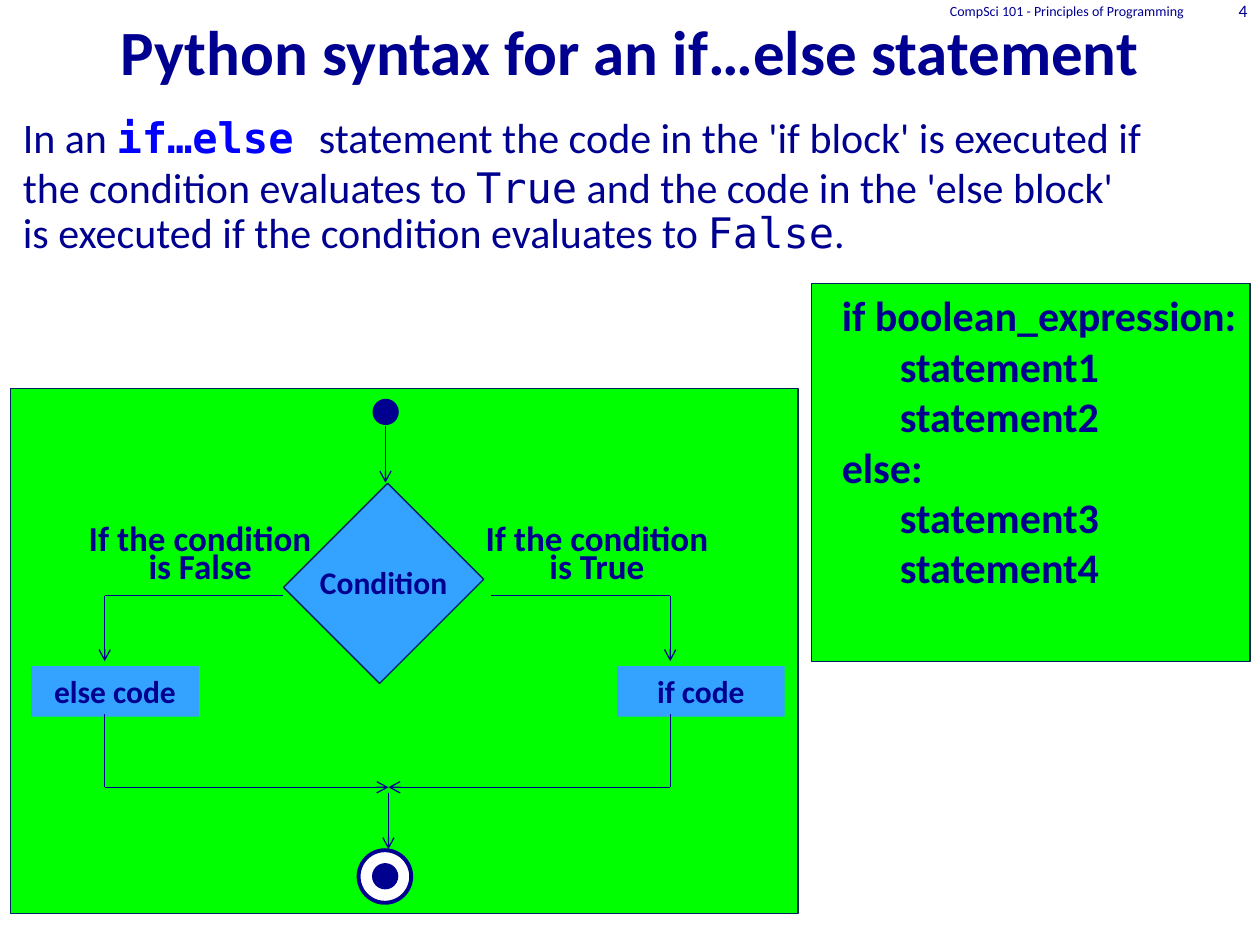
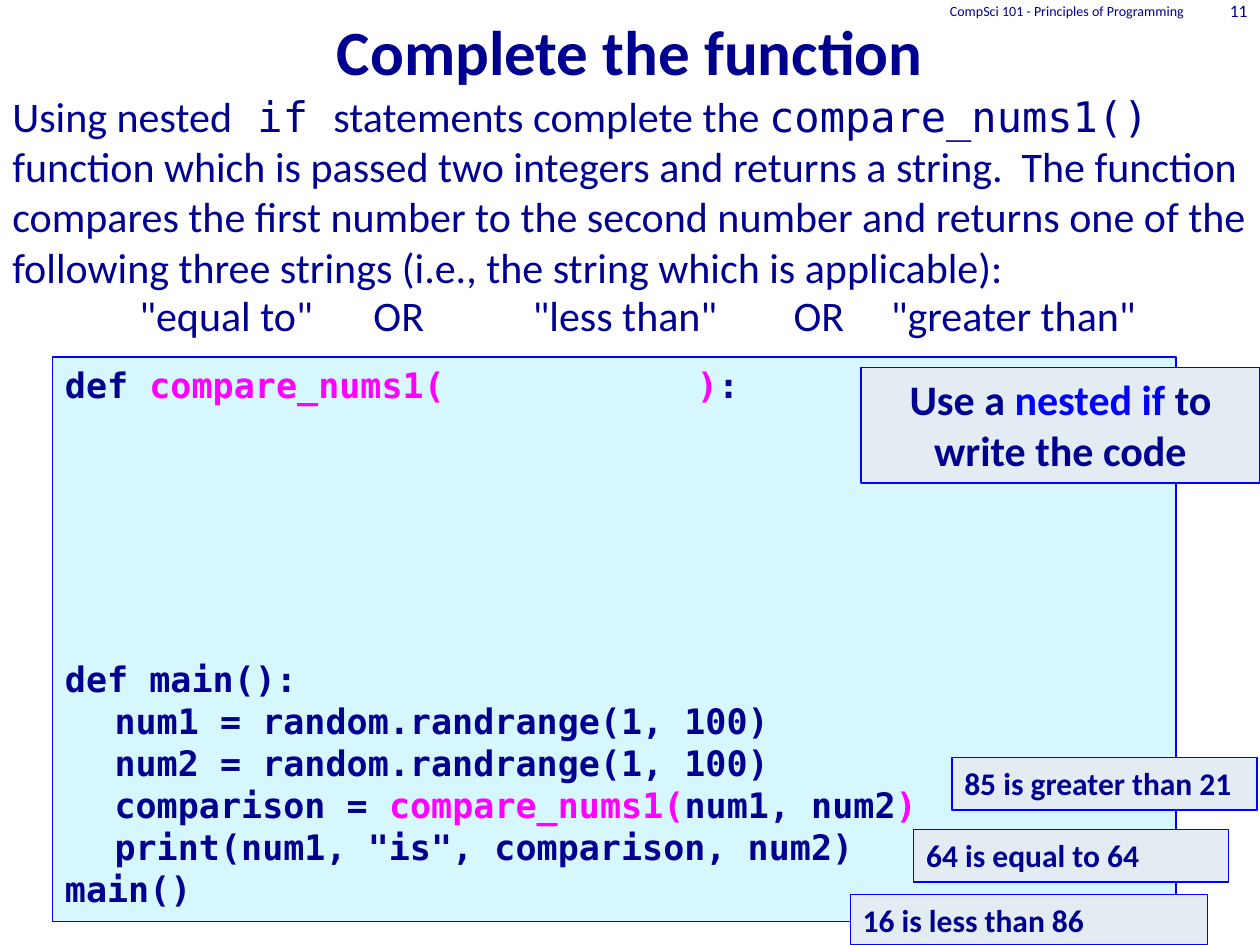
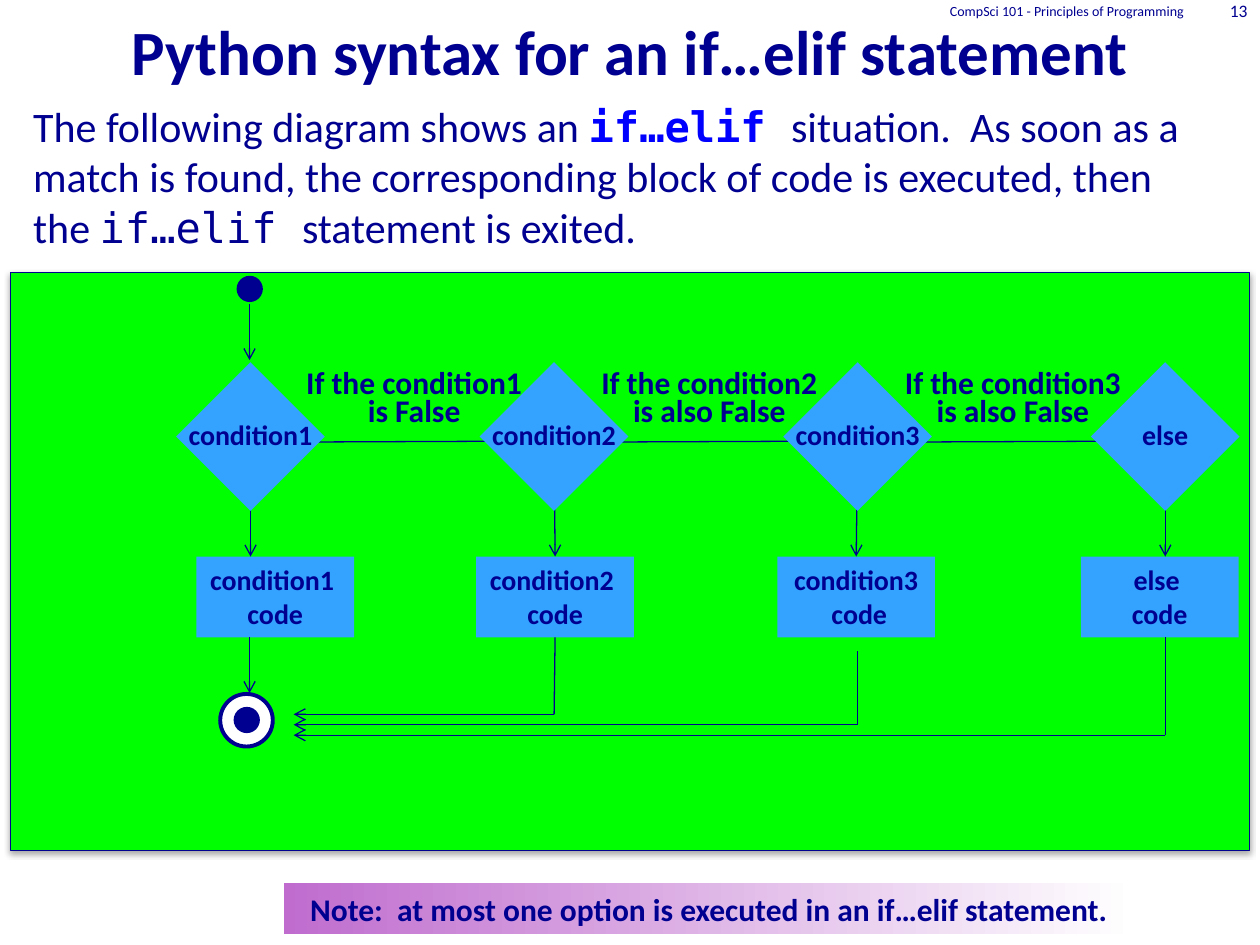
"""Build three lecture slides about if...else and if...elif statements."""
from dataclasses import dataclass

from lxml import etree
from pptx import Presentation
from pptx import util as u
from pptx.dml.color import RGBColor
from pptx.enum import shapes, text
from pptx.oxml import parse_xml
from pptx.oxml.ns import nsdecls, qn

LEFT, CENTER, RIGHT = text.PP_ALIGN.LEFT, text.PP_ALIGN.CENTER, text.PP_ALIGN.RIGHT
RECTANGLE, OVAL = shapes.MSO_SHAPE.RECTANGLE, shapes.MSO_SHAPE.OVAL


@dataclass(frozen=True)
class Theme:
    """Colours, fonts and type sizes shared by the slides."""

    navy: str = "000090"
    blue: str = "0000FF"
    magenta: str = "FF00FF"
    outline: str = "002060"
    green: str = "00FF00"
    node: str = "33A3FF"
    code_fill: str = "D7F7FF"
    note_fill: str = "E3EBF3"
    purple: str = "BF6CCE"
    white: str = "FFFFFF"
    sans: str = "Calibri"
    mono: str = "DejaVu Sans Mono"
    title: int = 36
    body: int = 24
    label: int = 20
    small: int = 18
    node_text: int = 16
    number: int = 10
    footer: int = 8
    thin: float = 0.75
    thick: float = 2.25


THEME = Theme()


@dataclass(frozen=True)
class Box:
    """A rectangle in centimetres."""

    left: float
    top: float
    width: float
    height: float

    def inside(self, left, top, width, height):
        """Return a box placed relative to this one."""
        return Box(self.left + left, self.top + top, width, height)

    def point(self, x, y):
        """Return a slide position from one relative to this box."""
        return u.Cm(self.left + x), u.Cm(self.top + y)

    def lengths(self):
        """Return the four measures as slide lengths."""
        return [u.Cm(value) for value in (self.left, self.top, self.width, self.height)]


@dataclass(frozen=True)
class Run:
    """Text whose font differs from that of its paragraph."""

    words: str
    name: str = THEME.sans
    color: str = THEME.navy
    bold: bool = False


def mono(words, color=THEME.navy, bold=False):
    """Return a run in the code font."""
    return Run(words, THEME.mono, color, bold)


def set_font(font, name, size, color, bold):
    """Format a font."""
    font.name, font.size, font.bold = name, u.Pt(size), bold
    font.color.rgb = RGBColor.from_string(color)


def write(shape, paragraphs, size, bold=False, align=LEFT, anchor=text.MSO_ANCHOR.TOP,
          name=THEME.sans, spacing=None, wrap=True):
    """Fill a shape with paragraphs of text, and return them."""
    frame = shape.text_frame
    frame.word_wrap, frame.vertical_anchor = wrap, anchor
    frame.auto_size = text.MSO_AUTO_SIZE.NONE
    for index, content in enumerate(paragraphs):
        paragraph = frame.add_paragraph() if index else frame.paragraphs[0]
        paragraph.alignment = align
        if spacing:
            paragraph.line_spacing = spacing
        if isinstance(content, str):
            paragraph.text = content
            set_font(paragraph.font, name, size, THEME.navy, bold)
            continue
        for part in content:
            run = paragraph.add_run()
            run.text = part.words
            set_font(run.font, part.name, size, part.color, part.bold)
    return frame.paragraphs


def add_text(slide, box, paragraphs, size, **style):
    """Add a text box, and return its paragraphs."""
    return write(slide.shapes.add_textbox(*box.lengths()), paragraphs, size, **style)


def indent(paragraphs, distance):
    """Indent whole paragraphs."""
    for paragraph in paragraphs:
        properties = paragraph._p.get_or_add_pPr()
        properties.set("marL", str(u.Cm(distance)))
        properties.set("indent", "0")


def add_shape(slide, box, fill, line=None, kind=RECTANGLE, weight=THEME.thin):
    """Add a flat preset shape."""
    shape = slide.shapes.add_shape(kind, *box.lengths())
    shape.shadow.inherit = False
    shape.fill.solid()
    shape.fill.fore_color.rgb = RGBColor.from_string(fill)
    if line:
        shape.line.color.rgb = RGBColor.from_string(line)
        shape.line.width = u.Pt(weight)
    else:
        shape.line.fill.background()
    return shape


def add_line(slide, box, start, end, arrow=False):
    """Add a thin line between two points relative to a box."""
    line = slide.shapes.add_connector(
        shapes.MSO_CONNECTOR.STRAIGHT, *box.point(*start), *box.point(*end))
    line.line.color.rgb = RGBColor.from_string(THEME.navy)
    line.line.width = u.Pt(THEME.thin)
    if arrow:
        etree.SubElement(line.line._get_or_add_ln(), qn("a:tailEnd"), type="arrow")
    etree.SubElement(line._element.spPr, qn("a:effectLst"))
    return line


def add_dot(slide, box, left, top):
    """Add the solid dot of a start or end mark."""
    add_shape(slide, box.inside(left, top, 0.53, 0.53), THEME.navy, kind=OVAL)


def add_end_mark(slide, box, left, top):
    """Add the ringed dot where a flow ends."""
    add_shape(slide, box.inside(left, top, 1.06, 1.06), THEME.white, THEME.navy,
              OVAL, THEME.thick)
    add_dot(slide, box, left + 0.27, top + 0.26)


def add_decision(slide, box, caption, size, line=None):
    """Add a tilted square with its caption."""
    add_shape(slide, box, THEME.node, line).rotation = 315
    height = 1.02 if size == THEME.small else 0.94
    caption_box = box.inside((box.width - 3.1) / 2, (box.height - height) / 2 - 0.03,
                             3.1, height)
    add_text(slide, caption_box, [caption], size, bold=True, align=CENTER, wrap=False)


def add_code_node(slide, box, lines, size):
    """Add a filled box that names a block of code."""
    shape = add_shape(slide, box, THEME.node)
    write(shape, lines, size, bold=True, align=CENTER)
    return shape


def add_outcome(slide, box, words, size):
    """Add the tightly set label of a branch."""
    add_text(slide, box, [words], size, bold=True, align=CENTER, spacing=u.Pt(15.6))


def add_title_slide(presentation, title, number):
    """Add a slide with its title, course name and number."""
    slide = presentation.slides.add_slide(presentation.slide_layouts[5])
    placeholder = slide.shapes.title
    (placeholder.left, placeholder.top,
     placeholder.width, placeholder.height) = Box(0, 0, 25.4, 1.9).lengths()
    write(placeholder, [title], THEME.title, bold=True, align=CENTER,
          anchor=text.MSO_ANCHOR.BOTTOM)
    for box, words, size in (
            (Box(15.66, -0.42, 8.47, 1.27), "CompSci 101 - Principles of Programming",
             THEME.footer),
            (Box(23.92, 0, 1.48, 0.42), str(number), THEME.number)):
        add_text(slide, box, [words], size, align=RIGHT, anchor=text.MSO_ANCHOR.MIDDLE)
    return slide


def add_branch(slide, box, outcome, code, label_left, code_left, outer, inner):
    """Add one branch of the if...else flow."""
    middle, turn, join = 7.62, 4.18, 8.04
    add_outcome(slide, box.inside(label_left, 2.76, 5.13, 1.42), outcome, THEME.label)
    add_code_node(slide, box.inside(code_left, 5.6, 3.38, 1.02), [code], THEME.small)
    add_line(slide, box, (outer, turn), (inner, turn))
    add_line(slide, box, (outer, turn), (outer, 5.5), arrow=True)
    add_line(slide, box, (outer, 6.57), (outer, join))
    add_line(slide, box, (outer, join), (middle, join), arrow=True)


def add_if_else_flow(slide, box):
    """Add the flow chart of an if...else statement."""
    add_shape(slide, box, THEME.green, THEME.outline)
    add_decision(slide, box.inside(6.04, 2.56, 2.97, 2.74), "Condition", THEME.small,
                 THEME.outline)
    add_branch(slide, box, "If the condition is True", "if code", 9.26, 12.23, 13.3, 9.69)
    add_branch(slide, box, "If the condition is False", "else code", 1.26, 0.42, 1.9, 5.5)
    add_line(slide, box, (7.62, 8.15), (7.62, 9.29), arrow=True)
    add_end_mark(slide, box, 7.02, 9.31)
    add_line(slide, box, (7.56, 0.75), (7.56, 1.9), arrow=True)
    add_dot(slide, box, 7.3, 0.21)


def add_syntax_panel(slide, box):
    """Add the panel with the general form of the statement."""
    add_shape(slide, box, THEME.green, THEME.outline)
    paragraphs = add_text(
        slide, box.inside(0.36, 0, 8.89, 6.4),
        ["if boolean_expression:", "statement1", "statement2",
         "else:", "statement3", "statement4"], THEME.body, bold=True)
    indent([line for line in paragraphs if line.text.startswith("statement")], 1.17)


def build_if_else(presentation):
    """Build the slide on if...else."""
    slide = add_title_slide(presentation, "Python syntax for an if…else statement", 4)
    paragraphs = add_text(slide, Box(0.21, 2.12, 24.34, 3.4), [
        [Run("In an "), mono("if…else ", THEME.blue, True),
         Run("statement the code in the 'if block' is executed if the condition "
             "evaluates to "), mono("True"), Run(" and the code in the 'else block'")],
        [Run("is executed if the condition evaluates to "), mono("False"), Run(".")],
    ], THEME.body)
    paragraphs[1].line_spacing = 0.7
    paragraphs[1].space_before = u.Pt(4.8)
    add_if_else_flow(slide, Box(0.21, 7.83, 15.88, 10.59))
    add_syntax_panel(slide, Box(16.36, 5.72, 8.84, 7.62))


def add_program(slide, box):
    """Add the program that is to be completed."""
    shape = add_shape(slide, box, THEME.code_fill, THEME.blue)
    paragraphs = write(shape, [
        [mono("def ", bold=True), mono("compare_nums1(\t)", THEME.magenta, True),
         mono(":", bold=True)],
        "def main():",
        "num1 = random.randrange(1, 100)",
        "num2 = random.randrange(1, 100)",
        [mono("comparison = ", bold=True), mono("compare_nums1(", THEME.magenta, True),
         mono("num1, num2", bold=True), mono(")", THEME.magenta, True)],
        'print(num1, "is", comparison, num2)',
        "main()",
    ], THEME.label, bold=True, name=THEME.mono)
    stops = etree.Element(qn("a:tabLst"))
    etree.SubElement(stops, qn("a:tab"), pos=str(u.Cm(12.74)), algn="l")
    paragraphs[0]._p.get_or_add_pPr().append(stops)
    paragraphs[1].space_before = u.Pt(144)
    indent(paragraphs[2:6], 1)


def add_choices(slide, box):
    """Add the row of strings the function may return."""
    for left, width, words in (
            (0, 7.42, '"equal to"'), (8.04, 7.42, '"less than"'),
            (15.87, 7.42, '"greater than"'), (5.71, 2.96, "OR"), (14.18, 2.96, "OR")):
        add_text(slide, box.inside(left, 0, width, box.height), [words], THEME.body,
                 align=CENTER)


def add_note(slide, box, content, size, align=LEFT):
    """Add a pale framed note."""
    shape = add_shape(slide, box, THEME.note_fill, THEME.blue)
    write(shape, [content], size, bold=True, align=align)


def build_exercise(presentation):
    """Build the slide with the exercise."""
    slide = add_title_slide(presentation, "Complete the function", 11)
    add_text(slide, Box(0, 1.69, 25.4, 4.2), [[
        Run("Using nested"), mono(" if "), Run("statements complete the "),
        mono("compare_nums1() "),
        Run("function which is passed two integers and returns a string.  The function "
            "compares the first number to the second number and returns one of the "
            "following three strings (i.e., the string which is applicable):")]],
        THEME.body)
    add_program(slide, Box(1.06, 7.2, 22.65, 11.38))
    add_choices(slide, Box(0.85, 5.72, 23.29, 1.27))
    for box, words in ((Box(19.19, 15.27, 6.15, 1.06), "85 is greater than 21"),
                       (Box(17.14, 18.03, 7.2, 1.01), "16 is less than 86"),
                       (Box(18.42, 16.72, 6.35, 1.06), "64 is equal to 64")):
        add_note(slide, box, words, THEME.small)
    add_note(slide, Box(17.36, 7.41, 8.04, 2.33),
             [Run("Use a ", bold=True), Run("nested if ", color=THEME.blue, bold=True),
              Run("to write the code", bold=True)], THEME.body, CENTER)


def add_soft_shadow(shape):
    """Give a shape a soft shadow below it."""
    properties = shape._element.spPr
    properties.remove(properties.find(qn("a:effectLst")))
    properties.append(parse_xml(
        f'<a:effectLst {nsdecls("a")}><a:outerShdw blurRad="{u.Pt(3.1)}" '
        f'dist="{u.Pt(1.8)}" dir="5400000" rotWithShape="0"><a:srgbClr val="000000">'
        '<a:alpha val="35000"/></a:srgbClr></a:outerShdw></a:effectLst>'))


def add_elif_flow(slide, box):
    """Add the flow chart of an if...elif statement."""
    add_soft_shadow(add_shape(slide, box, THEME.green, THEME.navy))
    middle, code_top, code_bottom, side = 3.39, 5.72, 7.35, 2.12
    columns = (("condition1", ["condition1 ", "code"], 4.84, 3.75),
               ("condition2", ["condition2 ", "code"], 10.96, 9.39),
               ("condition3", ["condition3", " code"], 17.08, 15.46),
               ("else", ["else ", "code"], 23.28, 21.58))
    centers = [column[2] for column in columns]
    nodes, drops = [], []
    for caption, lines, center, left in columns:
        nodes.append(add_code_node(slide, box.inside(left, code_top, 3.18, 1.63), lines,
                                   THEME.node_text))
        drops.append(add_line(slide, box, (center, middle), (center, code_top), True))
    for before, after in zip(centers, centers[1:]):
        add_line(slide, box, (before + 1.2, middle + 0.02), (after, middle))
    for drop, node in zip(drops[1:3], nodes[1:3]):
        drop.end_connect(node, 0)

    returns = []
    for index, (center, top) in enumerate(zip(centers[1:], (code_bottom, 7.63, code_bottom))):
        level = 8.9 + 0.21 * index
        returns.append(add_line(slide, box, (center, top), (center, level)))
        add_line(slide, box, (center, level), (5.71, level), arrow=True)
    returns[0].begin_connect(nodes[1], 2)

    for caption, lines, center, left in columns:
        add_decision(slide, box.inside(center - side / 2, 2.24, side, side), caption,
                     THEME.node_text)
    for left, words in ((5.5, "If the condition1 is False"),
                        (11.45, "If the condition2 is also False"),
                        (17.57, "If the condition3 is also False")):
        add_outcome(slide, box.inside(left, 1.91, 5.28, 1.4), words, THEME.small)
    add_line(slide, box, (4.82, 0.62), (4.82, 1.76), arrow=True)
    add_dot(slide, box, 4.56, 0.06)
    add_line(slide, box, (4.82, code_bottom), (4.82, 8.47), arrow=True)
    add_end_mark(slide, box, 4.23, 8.49)


def add_fading_note(slide, box, words):
    """Add a note on a band that fades to white."""
    shape = add_shape(slide, box, THEME.purple)
    shape.fill.gradient()
    shape.fill.gradient_angle = 0
    for stop, position, color in zip(shape.fill.gradient_stops, (0, 1),
                                     (THEME.purple, THEME.white)):
        stop.position = position
        stop.color.rgb = RGBColor.from_string(color)
    write(shape, [words], THEME.small, bold=True, align=CENTER)


def build_elif(presentation):
    """Build the slide on if...elif."""
    slide = add_title_slide(presentation, "Python syntax for an if…elif statement", 13)
    add_text(slide, Box(0.42, 1.9, 24.34, 3.4), [[
        Run("The following diagram shows an "), mono("if…elif ", THEME.blue, True),
        Run("situation.  As soon as a match is found, the corresponding block of code "
            "is executed, then the "), mono("if…elif "), Run("statement is exited.")]],
        THEME.body)
    add_elif_flow(slide, Box(0.21, 5.5, 24.98, 11.64))
    add_fading_note(slide, Box(5.72, 17.81, 17.15, 1.02),
                    "Note:  at most one option is executed in an if…elif statement.")


def main():
    """Build and save the presentation."""
    presentation = Presentation()
    presentation.slide_width, presentation.slide_height = u.Cm(25.4), u.Cm(19.05)
    build_if_else(presentation)
    build_exercise(presentation)
    build_elif(presentation)
    presentation.save("out.pptx")


if __name__ == "__main__":
    main()
